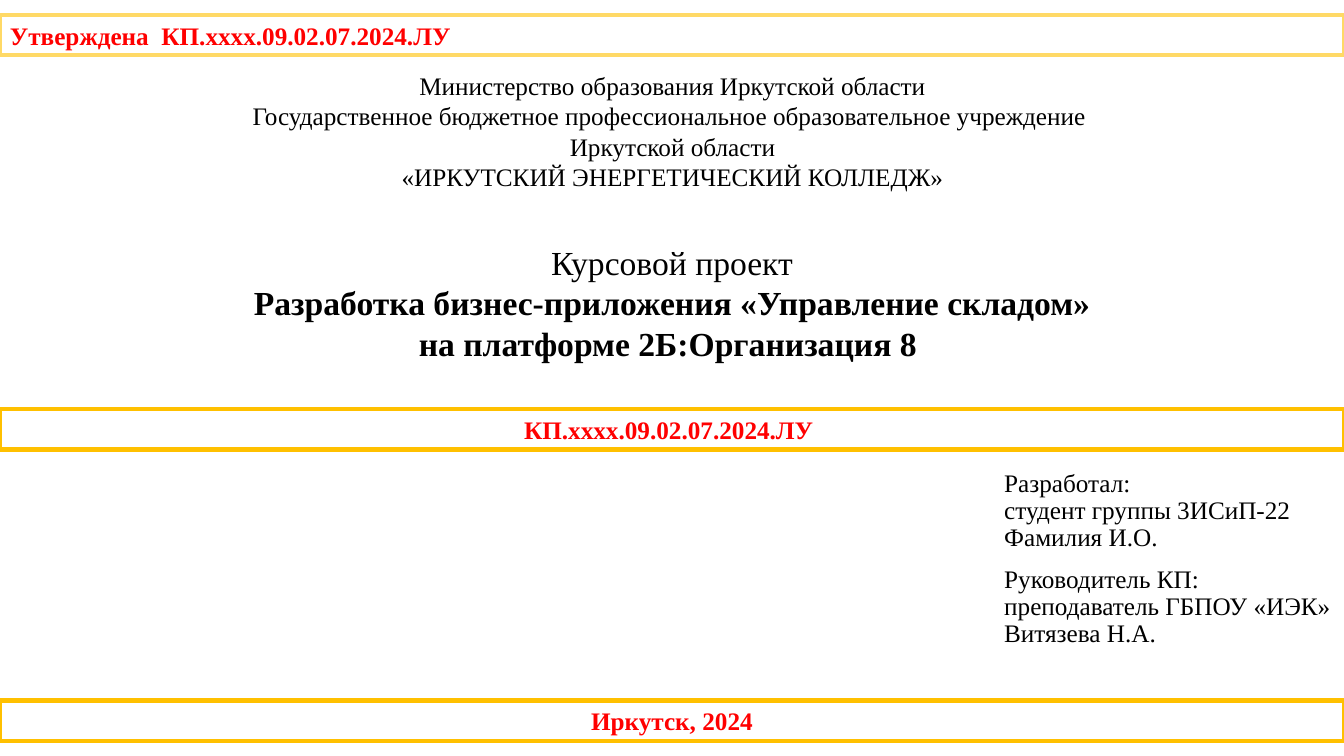
from dataclasses import dataclass

from pptx import Presentation
from pptx.dml.color import RGBColor
from pptx.enum.shapes import MSO_SHAPE
from pptx.enum.text import MSO_ANCHOR, MSO_AUTO_SIZE, PP_ALIGN
from pptx.util import Inches, Pt

RECTANGLE = MSO_SHAPE.RECTANGLE
LEFT, CENTER = PP_ALIGN.LEFT, PP_ALIGN.CENTER
TOP, MIDDLE = MSO_ANCHOR.TOP, MSO_ANCHOR.MIDDLE
NO_AUTOFIT = MSO_AUTO_SIZE.NONE

BLACK = RGBColor(0x00, 0x00, 0x00)
RED = RGBColor(0xFF, 0x00, 0x00)
GOLD = RGBColor(0xFF, 0xC0, 0x00)
PALE_GOLD = RGBColor(0xFF, 0xD9, 0x66)

SLIDE_WIDTH, SLIDE_HEIGHT = 13.33, 7.5
BAND_HEIGHT = 0.4

BODY_FONT = {"name": "Times New Roman", "size": Pt(18), "bold": False}
BAND_FONT = BODY_FONT | {"bold": True}
TOPIC_FONT = BODY_FONT | {"size": Pt(24)}
TOPIC_BOLD_FONT = TOPIC_FONT | {"bold": True}


@dataclass
class Line:
    text: str
    font: dict
    color: RGBColor = BLACK
    align: PP_ALIGN = CENTER
    spacing: float = 1.0
    before: float = 0


@dataclass
class Band:
    top: float
    text: str
    outline: RGBColor = GOLD
    align: PP_ALIGN = CENTER


BANDS = [
    Band(0.15, "Утверждена  КП.хххх.09.02.07.2024.ЛУ", PALE_GOLD, LEFT),
    Band(4.06, "КП.хххх.09.02.07.2024.ЛУ "),
    Band(6.95, "Иркутск, 2024"),
]

INSTITUTION = [
    Line(
        "Министерство образования Иркутской области\n"
        "Государственное бюджетное профессиональное образовательное учреждение \n"
        "Иркутской области\n"
        "«ИРКУТСКИЙ ЭНЕРГЕТИЧЕСКИЙ КОЛЛЕДЖ»",
        BODY_FONT,
    )
]

TOPIC = [
    Line("Курсовой проект", TOPIC_FONT),
    Line("Разработка бизнес-приложения «Управление складом»", TOPIC_BOLD_FONT),
    Line("на платформе 2Б:Организация 8 ", TOPIC_BOLD_FONT),
]

AUTHORS = [
    Line("Разработал:\nстудент группы 3ИСиП-22 Фамилия И.О.",
         BODY_FONT, align=LEFT, spacing=0.9),
    Line("Руководитель КП:\nпреподаватель ГБПОУ «ИЭК»\nВитязева Н.А.",
         BODY_FONT, align=LEFT, spacing=0.9, before=10),
]


def place(shape, left: float, top: float, width: float, height: float) -> None:
    box = {"left": left, "top": top, "width": width, "height": height}
    for side, length in box.items():
        setattr(shape, side, Inches(length))


def write(shape, lines: list[Line], anchor: MSO_ANCHOR = TOP) -> None:
    frame = shape.text_frame
    frame_format = {"word_wrap": True, "auto_size": NO_AUTOFIT, "vertical_anchor": anchor}
    for attribute, value in frame_format.items():
        setattr(frame, attribute, value)
    for index, line in enumerate(lines):
        paragraph = frame.add_paragraph() if index else frame.paragraphs[0]
        paragraph.text = line.text.replace("\n", "\v")
        paragraph_format = {
            "alignment": line.align,
            "line_spacing": line.spacing,
            "space_before": Pt(line.before),
        }
        for attribute, value in paragraph_format.items():
            setattr(paragraph, attribute, value)
        for run in paragraph.runs:
            for attribute, value in line.font.items():
                setattr(run.font, attribute, value)
            run.font.color.rgb = line.color


def draw_band(slide, band: Band) -> None:
    strip = slide.shapes.add_shape(
        RECTANGLE, 0, Inches(band.top), Inches(SLIDE_WIDTH), Inches(BAND_HEIGHT)
    )
    strip.shadow.inherit = False
    strip.fill.background()
    strip.line.color.rgb = band.outline
    strip.line.width = Pt(3)
    write(strip, [Line(band.text, BAND_FONT, RED, band.align)], MIDDLE)


def main() -> None:
    deck = Presentation()
    deck.slide_width = Inches(SLIDE_WIDTH)
    deck.slide_height = Inches(SLIDE_HEIGHT)
    slide = deck.slides.add_slide(deck.slide_layouts[0])

    topic = slide.shapes.title
    place(topic, -0.13, 2.35, 13.59, 1.31)
    write(topic, TOPIC)

    authors = slide.placeholders[1]
    place(authors, 9.86, 4.62, 3.48, 2.17)
    write(authors, AUTHORS)

    institution = slide.shapes.add_textbox(
        Inches(2.06), Inches(0.65), Inches(9.22), Inches(1.31)
    )
    write(institution, INSTITUTION)

    for band in BANDS:
        draw_band(slide, band)

    deck.save("out.pptx")


if __name__ == "__main__":
    main()
